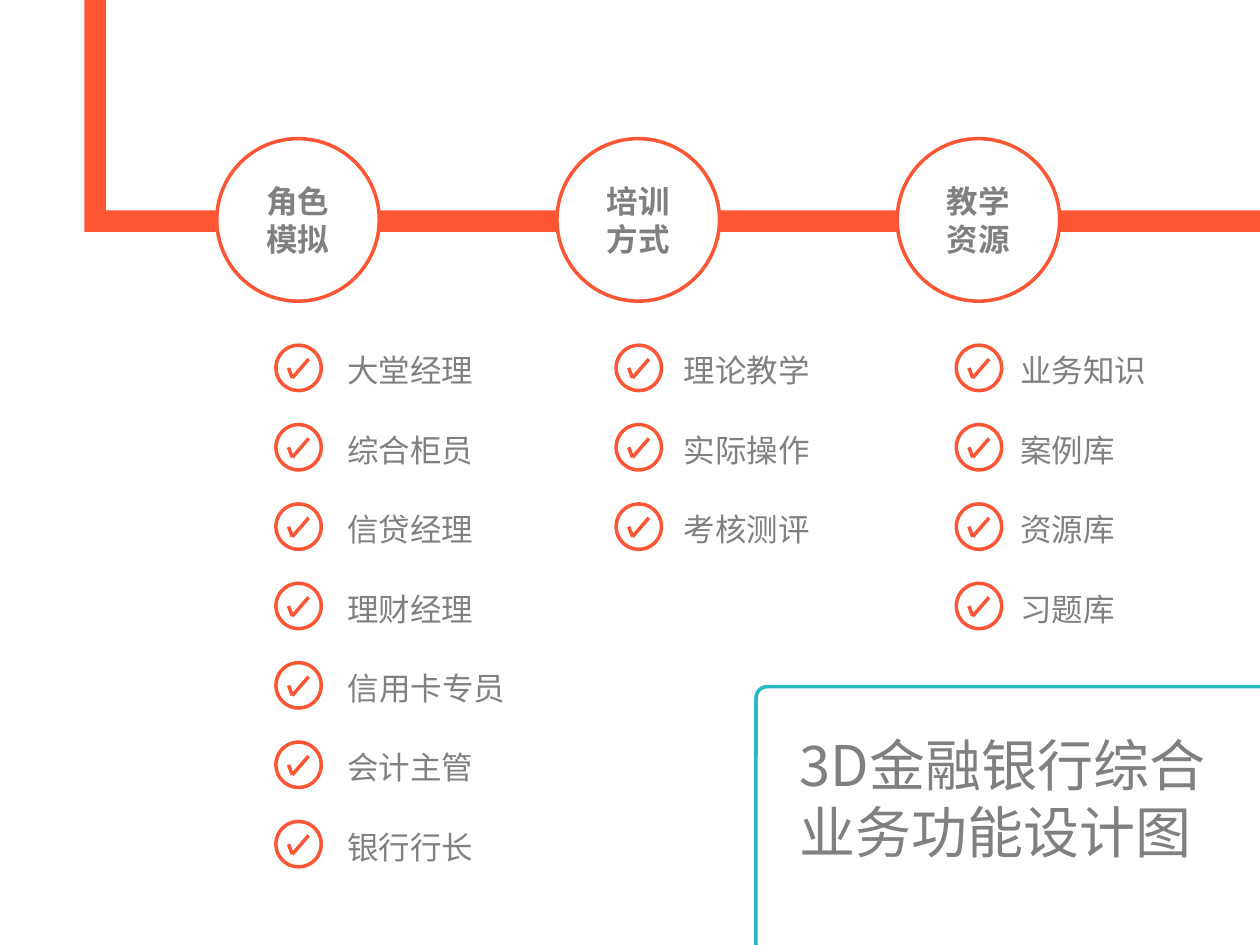
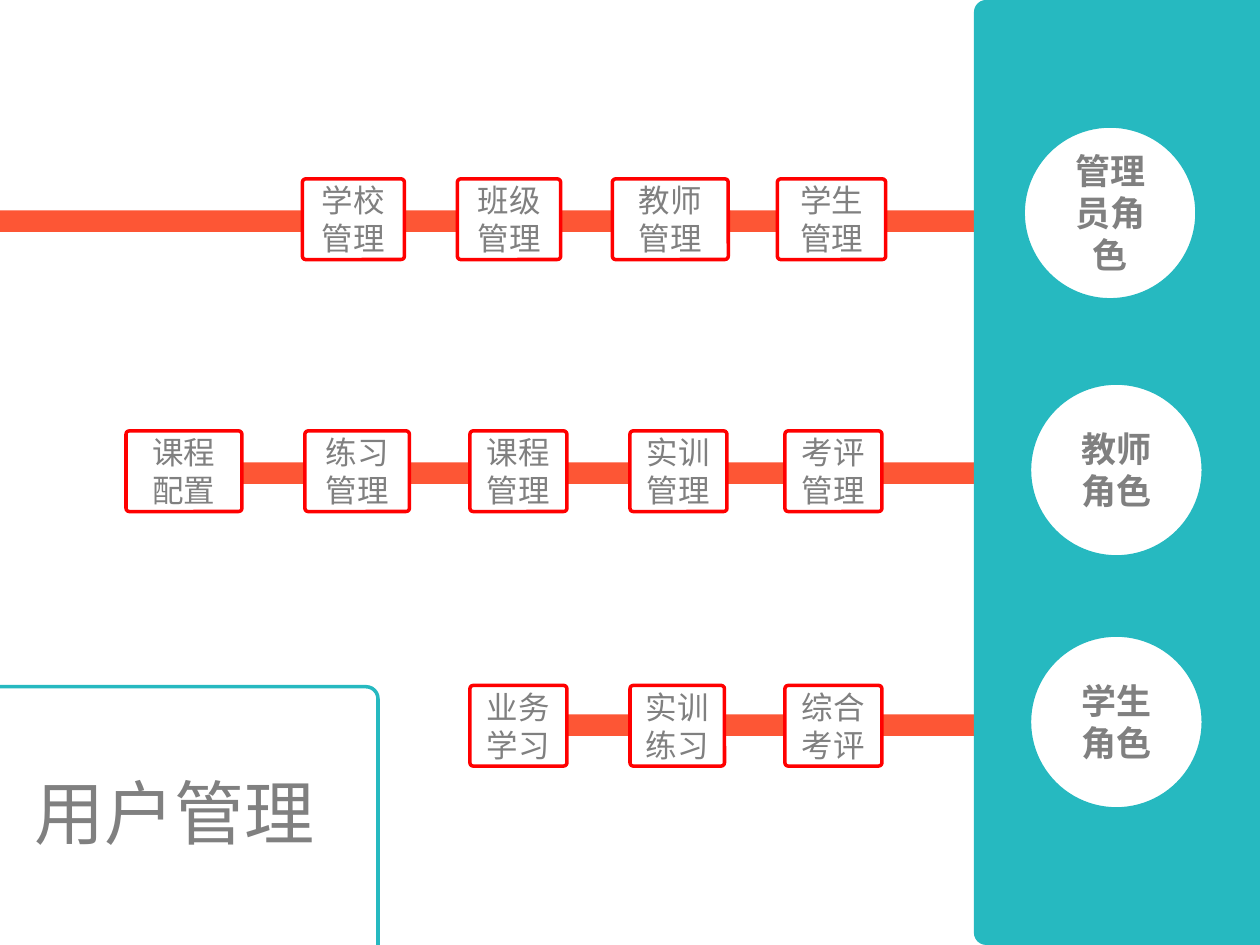
from dataclasses import dataclass

from lxml import etree
from pptx import Presentation
from pptx import util as u
from pptx.dml.color import RGBColor
from pptx.enum import shapes, text
from pptx.oxml import ns

FONT = "Noto Sans CJK SC"
ORANGE, TEAL, RED = "FD5635", "26B9C0", "FF0000"
WHITE, GRAY = "FFFFFF", "808080"
OVAL = shapes.MSO_SHAPE.OVAL
ROUNDED = shapes.MSO_SHAPE.ROUNDED_RECTANGLE
LEFT, CENTER, RIGHT = text.PP_ALIGN.LEFT, text.PP_ALIGN.CENTER, text.PP_ALIGN.RIGHT
BAR = 0.17
ROW_STEP = 0.63


@dataclass
class Column:
    """A topic circle and the checked items below it."""
    title: str
    items: list[str]


@dataclass
class Box:
    """A function box on a role's bar."""
    label: str
    left: float
    width: float


@dataclass
class Role:
    """A role circle with the bar and boxes leading to it."""
    title: str
    left: float
    top: float
    bar_left: float
    bar_top: float
    box_top: float
    boxes: list[Box]


COLUMNS = [
    Column("角色模拟", ["大堂经理", "综合柜员", "信贷经理", "理财经理",
                    "信用卡专员", "会计主管", "银行行长"]),
    Column("培训方式", ["理论教学", "实际操作", "考核测评"]),
    Column("教学资源", ["业务知识", "案例库", "资源库", "习题库"]),
]

ROLES = [
    Role("管理员角色", 8.12, 1, -1.75, 1.67, 1.42, [
        Box("学校管理", 2.4, 0.81), Box("班级管理", 3.63, 0.82),
        Box("教师管理", 4.86, 0.92), Box("学生管理", 6.17, 0.86)]),
    Role("教师角色", 8.17, 3.04, 1, 3.67, 3.42, [
        Box("课程配置", 1, 0.92), Box("练习管理", 2.42, 0.83),
        Box("课程管理", 3.73, 0.77), Box("实训管理", 5, 0.77),
        Box("考评管理", 6.23, 0.77)]),
    Role("学生角色", 8.17, 5.04, 4.06, 5.67, 5.44, [
        Box("业务学习", 3.73, 0.77), Box("实训练习", 5, 0.75),
        Box("综合考评", 6.23, 0.77)]),
]


def rgb(color: str) -> RGBColor:
    """Turn a hex string into a colour."""
    return RGBColor.from_string(color)


def write(sp, words: str, size: float, align=CENTER, bold: bool = False) -> None:
    """Write one grey run into a shape."""
    tf = sp.text_frame
    tf.word_wrap = True
    p = tf.paragraphs[0]
    p.alignment = align
    r = p.add_run()
    r.text = words
    r.font.size = u.Pt(size)
    r.font.bold = bold
    r.font.color.rgb = rgb(GRAY)
    r.font.name = FONT
    etree.SubElement(r._r.get_or_add_rPr(), ns.qn("a:ea"), typeface=FONT)


def add_shape(parent, kind, left: float, top: float, width: float, height: float,
              fill: str, line: str | None = None):
    """Add a flat preset shape."""
    sp = parent.shapes.add_shape(kind, u.Inches(left), u.Inches(top),
                                 u.Inches(width), u.Inches(height))
    sp.shadow.inherit = False
    sp.fill.solid()
    sp.fill.fore_color.rgb = rgb(fill)
    if line:
        sp.line.color.rgb = rgb(line)
        sp.line.width = u.Pt(2)
    else:
        sp.line.fill.background()
    if kind == ROUNDED:
        sp.adjustments[0] = 0.04
    sp.text_frame.vertical_anchor = text.MSO_ANCHOR.MIDDLE
    return sp


def add_circle(s, words: str, left: float, top: float, diameter: float,
               line: str, size: float) -> None:
    """Add a white circle with a bold title."""
    sp = add_shape(s, OVAL, left, top, diameter, diameter, WHITE, line)
    write(sp, words, size, bold=True)


def add_bar(s, left: float, top: float, right: float) -> None:
    """Add a horizontal orange bar."""
    add_shape(s, ROUNDED, left, top, right - left, BAR, ORANGE)


def add_label(s, words: str, left: float, top: float, width: float, height: float,
              size: float, align=LEFT) -> None:
    """Add a text box."""
    sp = s.shapes.add_textbox(u.Inches(left), u.Inches(top),
                              u.Inches(width), u.Inches(height))
    write(sp, words, size, align)


def add_check(s, left: float, top: float) -> None:
    """Add a grouped circle with a check mark."""
    group = s.shapes.add_group_shape()
    add_shape(group, OVAL, left, top, 0.36, 0.36, WHITE, ORANGE)
    points = [(left + dx, top + dy)
              for dx, dy in ((0.1, 0.18), (0.13, 0.26), (0.26, 0.11))]
    for (x1, y1), (x2, y2) in zip(points, points[1:]):
        c = group.shapes.add_connector(
            shapes.MSO_CONNECTOR.STRAIGHT,
            u.Inches(x1), u.Inches(y1), u.Inches(x2), u.Inches(y2))
        c.line.color.rgb = rgb(ORANGE)
        c.line.width = u.Pt(2)
        etree.SubElement(c._element.spPr, ns.qn("a:effectLst"))


def build_functions(s) -> None:
    """Draw the topics and their items."""
    add_shape(s, ROUNDED, 6, 5.45, 5.25, 2.21, WHITE, TEAL)
    add_shape(s, ROUNDED, 0.67, -1.58, BAR, 3.42, ORANGE)
    add_bar(s, 0.75, 1.67, 10.25)
    for i, column in enumerate(COLUMNS):
        add_circle(s, column.title, 1.72 + 2.7 * i, 1.1, 1.29, ORANGE, 18)
        for j, item in enumerate(column.items):
            top = 2.74 + ROW_STEP * j
            add_check(s, 2.19 + 2.7 * i, top)
            width = max(1.33, 0.33 + 0.25 * len(item))
            add_label(s, item, 2.66 + 2.67 * i, top, width, 0.4, 18)
    add_label(s, "3D金融银行综合业务功能设计图", 6.25, 5.75, 3.75, 1.18, 32)


def build_users(s) -> None:
    """Draw the roles and the functions that each one manages."""
    for role in ROLES:
        add_bar(s, role.bar_left, role.bar_top, 7.75)
    add_shape(s, ROUNDED, -2.75, 5.45, 5.75, 2.38, WHITE, TEAL)
    add_shape(s, ROUNDED, 7.73, 0, 2.43, 7.5, TEAL)
    for role in ROLES:
        add_circle(s, role.title, role.left, role.top, 1.38, TEAL, 20)
        for box in role.boxes:
            sp = add_shape(s, ROUNDED, box.left, role.box_top, box.width, 0.64,
                           WHITE, RED)
            write(sp, box.label, 18)
    add_label(s, "用户管理", -0.25, 6.06, 2.84, 0.77, 40, RIGHT)


def main() -> None:
    """Build and save the slides."""
    prs = Presentation()
    prs.slide_width = u.Inches(10)
    prs.slide_height = u.Inches(7.5)
    for build in (build_functions, build_users):
        build(prs.slides.add_slide(prs.slide_layouts[6]))
    prs.save("out.pptx")


if __name__ == "__main__":
    main()
